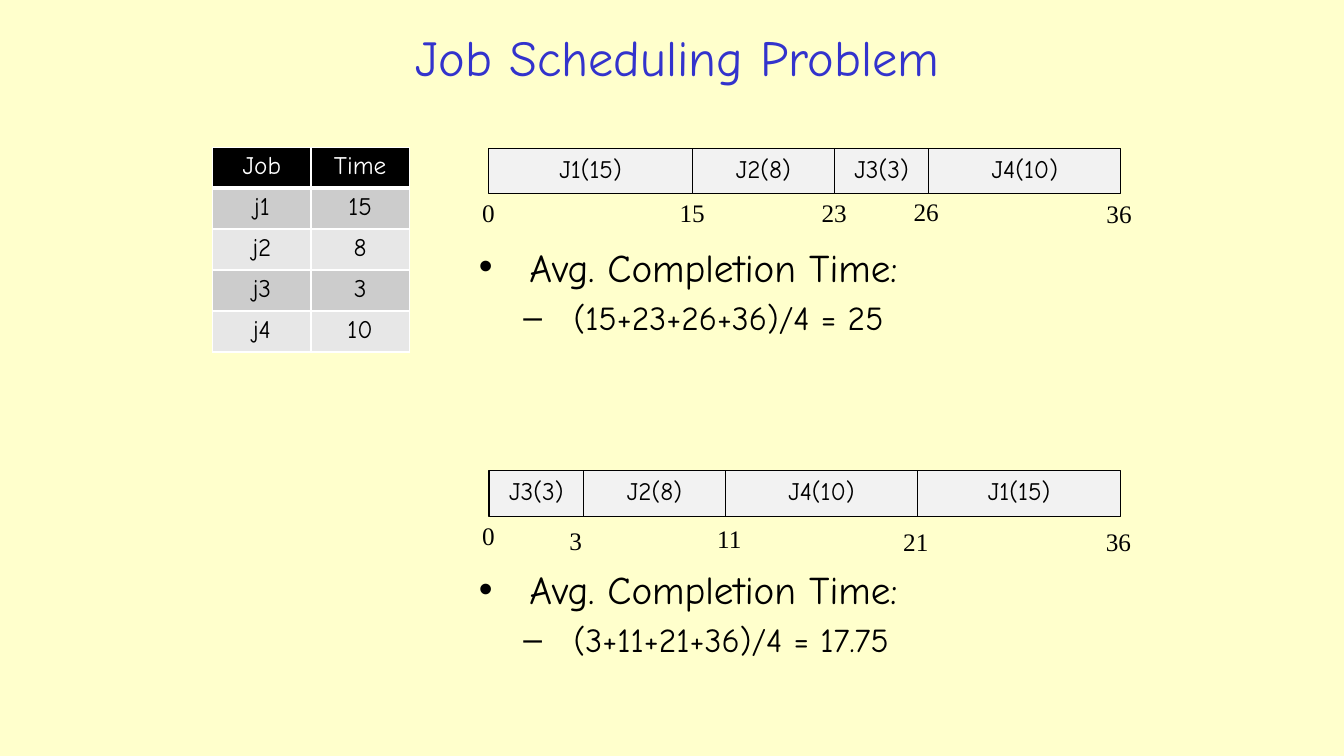
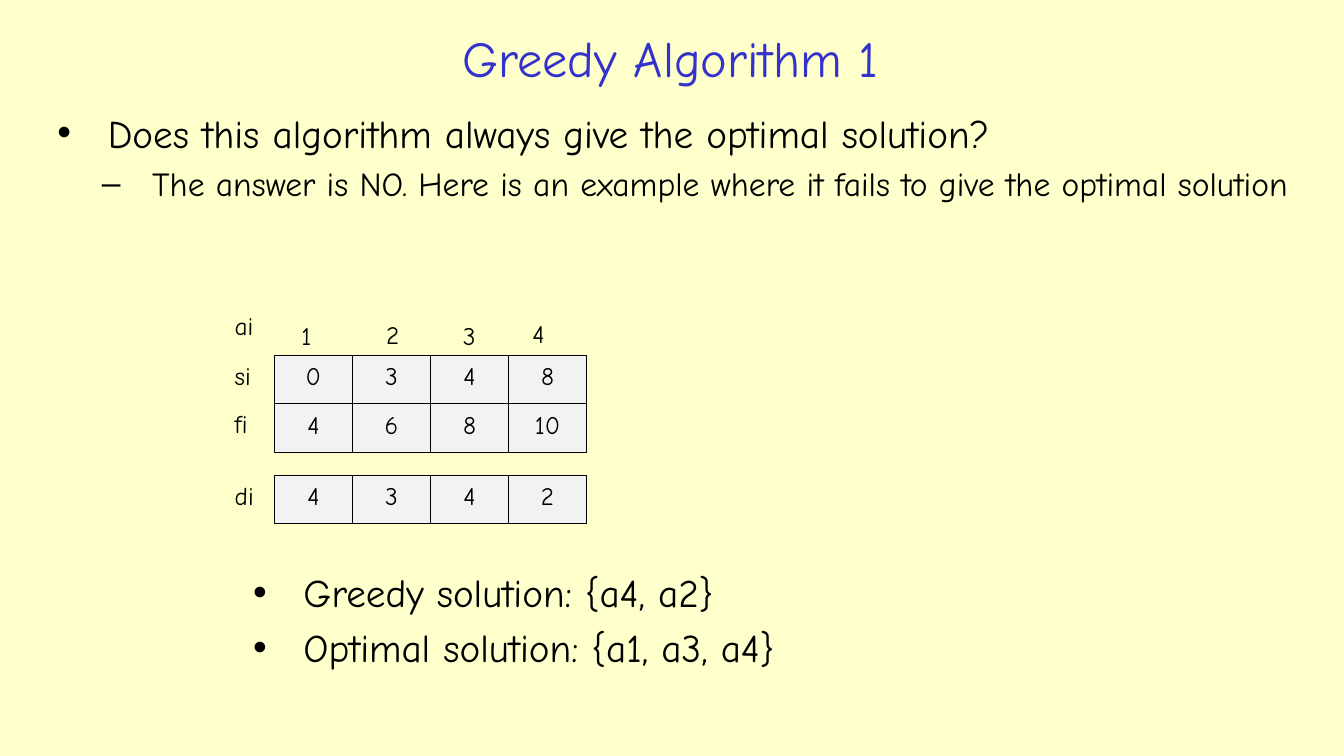
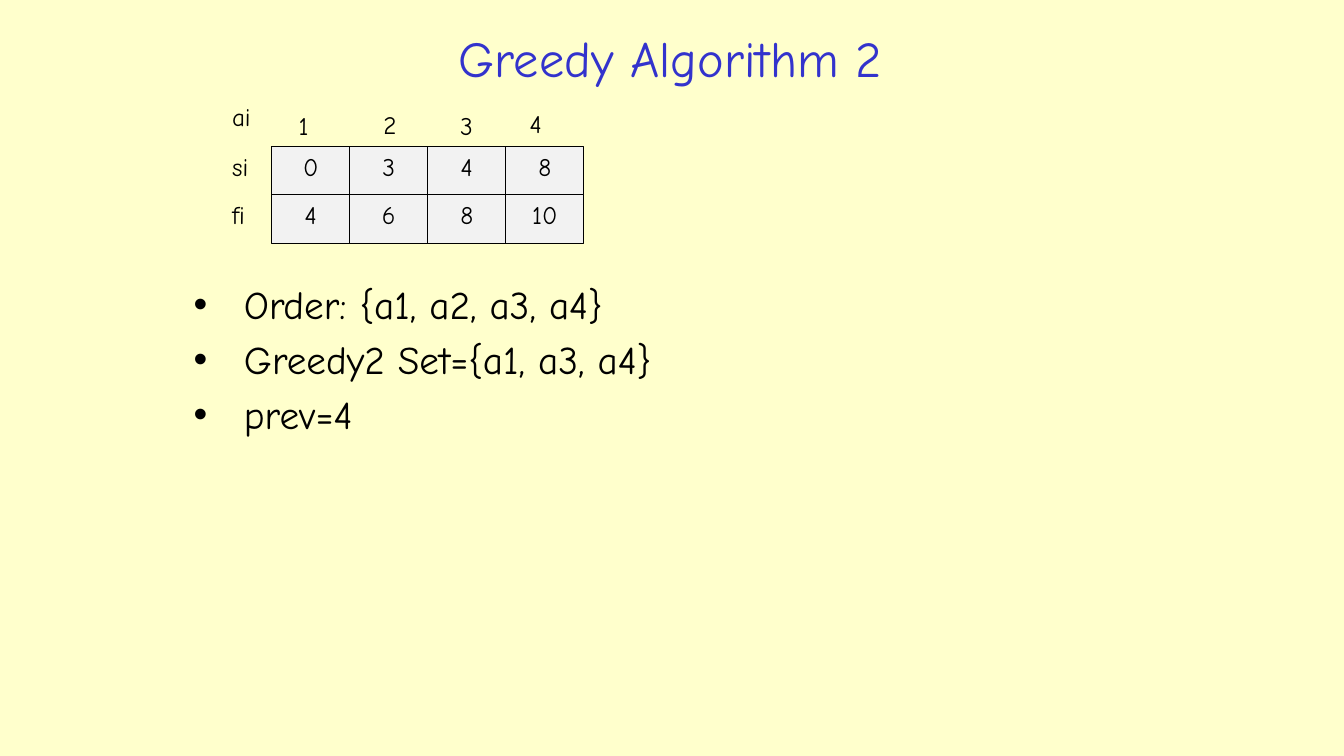
from dataclasses import dataclass
from itertools import accumulate
from typing import Any

from lxml import etree
from pptx import Presentation
from pptx import util as u
from pptx.dml.color import RGBColor
from pptx.enum import shapes, text
from pptx.oxml import ns

# The slide is a grid of 160 columns by 90 rows of square units.
SLIDE_WIDTH, SLIDE_HEIGHT = u.Inches(13.33), u.Inches(7.5)
UNIT = SLIDE_HEIGHT / 90

CREAM = RGBColor(0xFF, 0xFF, 0xCC)
BLUE = RGBColor(0x33, 0x33, 0xCC)
BLACK = RGBColor(0x00, 0x00, 0x00)
WHITE = RGBColor(0xFF, 0xFF, 0xFF)
PALE_GREY = RGBColor(0xF2, 0xF2, 0xF2)
ROW_GREYS = (RGBColor(0xE7, 0xE7, 0xE7), RGBColor(0xCC, 0xCC, 0xCC))

HAND_FONT, NUMBER_FONT = "Comic Neue", "Times New Roman"
TITLE_FORMAT = {"name": HAND_FONT, "size": u.Pt(36)}
LEVEL_FORMATS = (
    {"name": HAND_FONT, "size": u.Pt(28)},
    {"name": HAND_FONT, "size": u.Pt(24)},
)
LABEL_FORMAT = {"name": HAND_FONT, "size": u.Pt(18)}
MARK_FORMAT = {"name": NUMBER_FONT, "size": u.Pt(18)}
LEVEL_INDENTS = (0.56, 1.0)
HANGING_INDENT = -0.5
LABEL_HEIGHT = 4.8


@dataclass(frozen=True)
class Box:
    """A place on the grid, in columns and rows."""

    left: float
    top: float
    width: float
    height: float

    def lengths(self) -> tuple[u.Emu, ...]:
        values = (self.left, self.top, self.width, self.height)
        return tuple(u.Emu(round(value * UNIT)) for value in values)


@dataclass(frozen=True)
class Item:
    text: str
    level: int = 0


@dataclass(frozen=True)
class Job:
    number: int
    time: int
    width: float


@dataclass(frozen=True)
class Mark:
    """Shift of a time mark from its boundary, and its distance below the bar's top."""

    shift: float = 0
    drop: float = 5.28


@dataclass(frozen=True)
class Schedule:
    top: float
    jobs: tuple[Job, ...]
    marks: tuple[Mark, ...]


@dataclass(frozen=True)
class ActivityRow:
    label: str
    offset: float
    values: tuple[int, ...]


JOBS = (Job(1, 15, 24.2), Job(2, 8, 16.9), Job(3, 3, 11.25), Job(4, 10, 22.85))
BAR_LEFT, BAR_HEIGHT = 58.2, 5.4
SCHEDULES = (
    Schedule(17.64, JOBS, (Mark(), Mark(), Mark(), Mark(-0.3, 5.16), Mark(-0.2, 5.4))),
    Schedule(
        56.04,
        tuple(JOBS[index] for index in (2, 1, 3, 0)),
        (Mark(), Mark(-0.87, 5.88), Mark(0.53, 5.64), Mark(-0.18, 6), Mark(-0.26, 6)),
    ),
)

CELL_WIDTH, CELL_HEIGHT = 9.29, 5.78
START_ROW = ActivityRow("si", 0, (0, 3, 4, 8))
FINISH_ROW = ActivityRow("fi", CELL_HEIGHT, (4, 6, 8, 10))
DURATION_ROW = ActivityRow("di", 14.3, (4, 3, 4, 2))
ACTIVITY_OFFSETS = ((2.04, -4.8), (12.12, -4.92), (21.24, -4.8), (29.52, -5.04))

TITLE_BOX = Box(21.12, 2.28, 117.36, 9.12)


def set_values(target: Any, values: dict[str, Any]) -> None:
    for name, value in values.items():
        setattr(target, name, value)


def write(paragraph: Any, content: str, font: dict[str, Any], color: RGBColor = BLACK) -> None:
    run = paragraph.add_run()
    run.text = content
    set_values(run.font, font)
    run.font.color.rgb = color


def place(shape: Any, box: Box) -> None:
    set_values(shape, dict(zip(("left", "top", "width", "height"), box.lengths())))


def add_slide(presentation: Any, layout: int, title: str, box: Box = TITLE_BOX) -> Any:
    slide = presentation.slides.add_slide(presentation.slide_layouts[layout])
    shape = slide.shapes.title
    place(shape, box)
    set_values(
        shape.text_frame,
        {"auto_size": text.MSO_AUTO_SIZE.NONE, "vertical_anchor": text.MSO_ANCHOR.MIDDLE},
    )
    paragraph = shape.text_frame.paragraphs[0]
    paragraph.alignment = text.PP_ALIGN.CENTER
    write(paragraph, title, TITLE_FORMAT, BLUE)
    return slide


def fill_list(slide: Any, index: int, box: Box, items: tuple[Item, ...]) -> None:
    """Put a bulleted list into the body placeholder with this index."""
    shape = slide.placeholders[index]
    place(shape, box)
    frame = shape.text_frame
    frame.auto_size = text.MSO_AUTO_SIZE.NONE
    for position, item in enumerate(items):
        paragraph = frame.add_paragraph() if position else frame.paragraphs[0]
        paragraph.level = item.level
        properties = paragraph._p.get_or_add_pPr()
        properties.set("marL", str(u.Inches(LEVEL_INDENTS[item.level])))
        properties.set("indent", str(u.Inches(HANGING_INDENT)))
        write(paragraph, item.text, LEVEL_FORMATS[item.level])


def add_cell(slide: Any, box: Box, content: str) -> None:
    """Draw an outlined grey rectangle with its text at the top."""
    shape = slide.shapes.add_shape(shapes.MSO_SHAPE.RECTANGLE, *box.lengths())
    shape.shadow.inherit = False
    shape.fill.solid()
    shape.fill.fore_color.rgb = PALE_GREY
    shape.line.color.rgb = BLACK
    shape.line.width = u.Pt(0.75)
    shape.text_frame.vertical_anchor = text.MSO_ANCHOR.TOP
    paragraph = shape.text_frame.paragraphs[0]
    paragraph.alignment = text.PP_ALIGN.CENTER
    write(paragraph, content, LABEL_FORMAT)


def add_label(slide: Any, box: Box, content: str, font: dict[str, Any]) -> None:
    frame = slide.shapes.add_textbox(*box.lengths()).text_frame
    set_values(frame, {"word_wrap": False, "auto_size": text.MSO_AUTO_SIZE.SHAPE_TO_FIT_TEXT})
    write(frame.paragraphs[0], content, font)


def add_borders(cell: Any, bottom_width: float) -> None:
    """Give a table cell white borders, placed before its fill."""
    properties = cell._tc.get_or_add_tcPr()
    for position, side in enumerate(("lnL", "lnR", "lnT", "lnB")):
        width = u.Pt(bottom_width if side == "lnB" else 1)
        line = etree.Element(ns.qn(f"a:{side}"), w=str(width))
        fill = etree.SubElement(line, ns.qn("a:solidFill"))
        etree.SubElement(fill, ns.qn("a:srgbClr"), val=str(WHITE))
        properties.insert(position, line)


def add_job_table(slide: Any) -> None:
    rows = [("Job", "Time")] + [(f"j{job.number}", str(job.time)) for job in JOBS]
    box = Box(25.32, 17.52, 23.4, 4.88 * len(rows))
    table = slide.shapes.add_table(len(rows), 2, *box.lengths()).table
    for row_index, row in enumerate(rows):
        header = row_index == 0
        for column_index, content in enumerate(row):
            cell = table.cell(row_index, column_index)
            cell.fill.solid()
            cell.fill.fore_color.rgb = BLACK if header else ROW_GREYS[row_index % 2]
            add_borders(cell, 3 if header else 1)
            paragraph = cell.text_frame.paragraphs[0]
            paragraph.alignment = text.PP_ALIGN.CENTER
            write(paragraph, content, {**LABEL_FORMAT, "bold": False}, WHITE if header else BLACK)


def add_schedule(slide: Any, index: int, schedule: Schedule) -> None:
    """Draw a bar of jobs, the times below it and their average."""
    boundaries = list(accumulate((job.width for job in schedule.jobs), initial=BAR_LEFT))
    times = list(accumulate((job.time for job in schedule.jobs), initial=0))
    for left, job in zip(boundaries, schedule.jobs):
        box = Box(left, schedule.top, job.width, BAR_HEIGHT)
        add_cell(slide, box, f"J{job.number}({job.time})")
    for boundary, time, mark in zip(boundaries, times, schedule.marks):
        width = 4 if time < 10 else 5.4
        left = boundary + mark.shift - width / 2
        box = Box(left, schedule.top + mark.drop, width, LABEL_HEIGHT)
        add_label(slide, box, str(time), MARK_FORMAT)
    completions = times[1:]
    total = "+".join(map(str, completions))
    average = sum(completions) / len(completions)
    fill_list(
        slide,
        index,
        Box(55.08, schedule.top + 10.68, 80.88, 13.92),
        (
            Item("Avg. Completion Time:"),
            Item(f"({total})/{len(completions)} = {average:g}", 1),
        ),
    )


def add_activities(slide: Any, left: float, top: float, rows: tuple[ActivityRow, ...]) -> None:
    """Draw rows of activity values with row labels and activity numbers."""
    label_left = left - 5.9
    add_label(slide, Box(label_left, top - 5.94, 4.8, LABEL_HEIGHT), "ai", LABEL_FORMAT)
    for number, (across, down) in enumerate(ACTIVITY_OFFSETS, start=1):
        box = Box(left + across, top + down, 4.32, LABEL_HEIGHT)
        add_label(slide, box, str(number), LABEL_FORMAT)
    for row in rows:
        row_top = top + row.offset
        add_label(slide, Box(label_left, row_top, 4.8, LABEL_HEIGHT), row.label, LABEL_FORMAT)
        for column, value in enumerate(row.values):
            box = Box(left + column * CELL_WIDTH, row_top, CELL_WIDTH, CELL_HEIGHT)
            add_cell(slide, box, str(value))


def build_job_scheduling(presentation: Any) -> None:
    slide = add_slide(presentation, 3, "Job Scheduling Problem", Box(23.4, 2.16, 114.48, 9.12))
    add_job_table(slide)
    for index, schedule in enumerate(SCHEDULES, start=1):
        add_schedule(slide, index, schedule)


def build_first_greedy(presentation: Any) -> None:
    slide = add_slide(presentation, 3, "Greedy Algorithm 1")
    fill_list(
        slide,
        1,
        Box(4.92, 12.36, 149.76, 23.28),
        (
            Item("Does this algorithm always give the optimal solution?"),
            Item(
                "The answer is NO. Here is an example where it fails "
                "to give the optimal solution",
                1,
            ),
        ),
    )
    add_activities(slide, 32.66, 42.3, (START_ROW, FINISH_ROW, DURATION_ROW))
    fill_list(
        slide,
        2,
        Box(28.2, 67.08, 109.44, 18.12),
        (Item("Greedy solution: {a4, a2}"), Item("Optimal solution: {a1, a3, a4}")),
    )


def build_second_greedy(presentation: Any) -> None:
    slide = add_slide(presentation, 1, "Greedy Algorithm 2")
    fill_list(
        slide,
        1,
        Box(21.12, 32.76, 116.88, 56.28),
        (
            Item("Order: {a1, a2, a3, a4}"),
            Item("Greedy2 Set={a1, a3, a4}"),
            Item("prev=4"),
        ),
    )
    add_activities(slide, 32.34, 17.4, (START_ROW, FINISH_ROW))


def main() -> None:
    presentation = Presentation()
    set_values(presentation, {"slide_width": SLIDE_WIDTH, "slide_height": SLIDE_HEIGHT})
    background = presentation.slide_master.background.fill
    background.solid()
    background.fore_color.rgb = CREAM
    for build in (build_job_scheduling, build_first_greedy, build_second_greedy):
        build(presentation)
    presentation.save("out.pptx")


if __name__ == "__main__":
    main()
